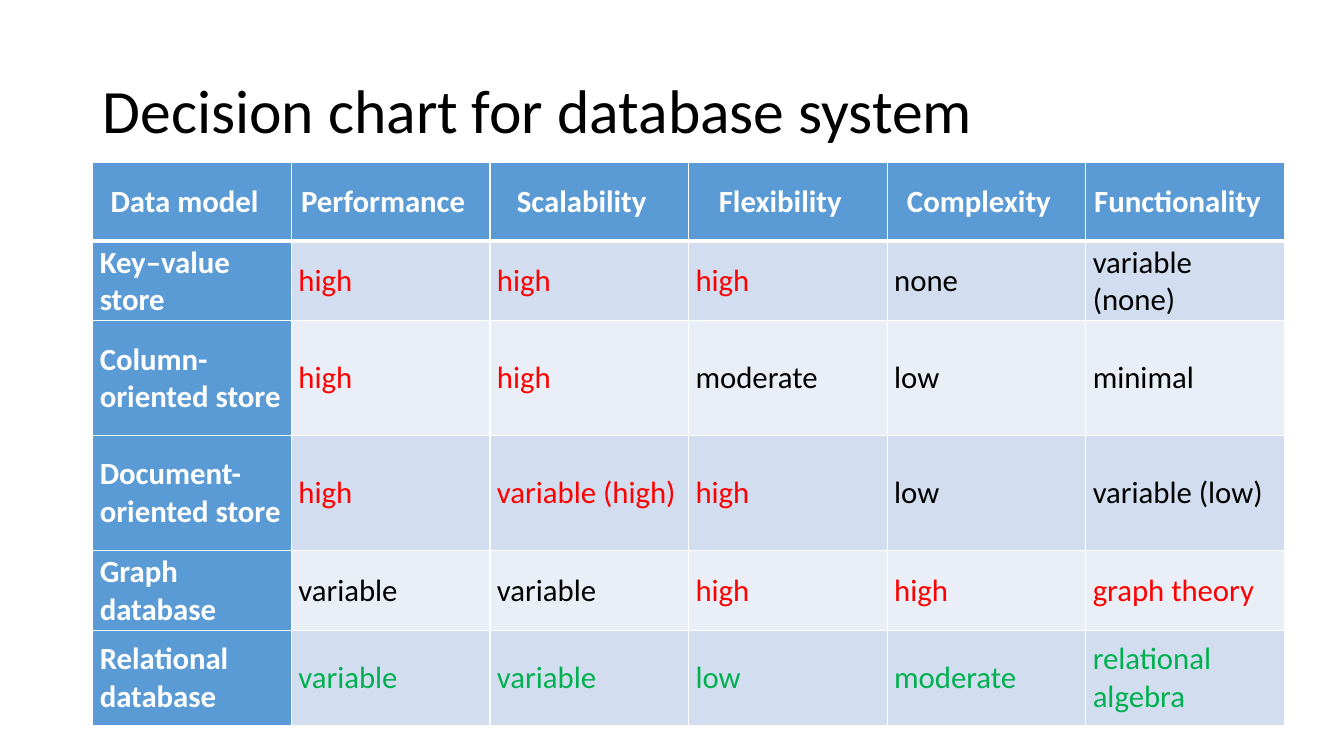
from dataclasses import dataclass

from lxml import etree
from pptx import Presentation
from pptx.dml.color import RGBColor
from pptx.enum.text import MSO_ANCHOR, PP_ALIGN
from pptx.oxml.ns import qn
from pptx.slide import Slide
from pptx.table import _Cell
from pptx.text.text import _Paragraph
from pptx.util import Inches, Pt

MIDDLE = MSO_ANCHOR.MIDDLE
LEFT = PP_ALIGN.LEFT
CENTER = PP_ALIGN.CENTER


@dataclass(frozen=True)
class Theme:
    font: str = "Calibri"
    title_size: int = 44
    cell_size: int = 22
    cell_spacing: int = 12
    thin_border: int = 1
    thick_border: int = 3
    black: str = "000000"
    white: str = "FFFFFF"
    red: str = "FF0000"
    green: str = "00B050"
    header_fill: str = "5B9BD5"
    odd_fill: str = "D2DEEF"
    even_fill: str = "EAEFF7"


THEME = Theme()


@dataclass(frozen=True)
class DataModel:
    name: str
    ratings: tuple[str, ...]
    height: float
    highlighted: tuple[int, ...] = ()
    highlight: str = THEME.red


HEADINGS = ("Data model", "Performance", "Scalability", "Flexibility", "Complexity", "Functionality")
HEADER_HEIGHT = 0.78
COLUMN_WIDTH = 1.97
DATA_MODELS = (
    DataModel("Key–value store", ("high", "high", "high", "none", "variable (none)"), 0.78, (0, 1, 2)),
    DataModel("Column-oriented store", ("high", "high", "moderate", "low", "minimal"), 1.14, (0, 1)),
    DataModel("Document-oriented store", ("high", "variable (high)", "high", "low", "variable (low)"), 1.14, (0, 1, 2)),
    DataModel("Graph database", ("variable", "variable", "high", "high", "graph theory"), 0.78, (2, 3, 4)),
    DataModel(
        "Relational database",
        ("variable", "variable", "low", "moderate", "relational algebra"),
        0.94,
        (0, 1, 2, 3, 4),
        THEME.green,
    ),
)


def add_run(paragraph: _Paragraph, text: str, size: int, color: str, bold: bool = False) -> None:
    run = paragraph.add_run()
    run.text = text
    run.font.name = THEME.font
    run.font.size = Pt(size)
    run.font.bold = bold
    run.font.color.rgb = RGBColor.from_string(color)


def set_borders(cell: _Cell, top: int, bottom: int) -> None:
    widths = {"a:lnL": THEME.thin_border, "a:lnR": THEME.thin_border, "a:lnT": top, "a:lnB": bottom}
    properties = cell._tc.get_or_add_tcPr()
    for position, (tag, width) in enumerate(widths.items()):
        line = etree.Element(qn(tag), w=str(Pt(width)))
        fill = etree.SubElement(line, qn("a:solidFill"))
        etree.SubElement(fill, qn("a:srgbClr"), val=THEME.white)
        properties.insert(position, line)


def fill_cell(cell: _Cell, text: str, fill: str, color: str, bold: bool, heading: bool = False) -> None:
    cell.fill.solid()
    cell.fill.fore_color.rgb = RGBColor.from_string(fill)
    cell.vertical_anchor = MIDDLE
    cell.margin_left = Inches(0.07)
    cell.margin_right = Inches(0.22 if heading else 0.07)
    cell.margin_top = cell.margin_bottom = Inches(0.03)
    paragraph = cell.text_frame.paragraphs[0]
    paragraph.alignment = CENTER if heading else LEFT
    paragraph.space_before = paragraph.space_after = Pt(THEME.cell_spacing)
    add_run(paragraph, text, THEME.cell_size, color, bold)


def add_title(slide: Slide, text: str) -> None:
    title = slide.shapes.add_textbox(Inches(0.92), Inches(0.4), Inches(11.5), Inches(1.45))
    title.text_frame.word_wrap = True
    title.text_frame.vertical_anchor = MIDDLE
    paragraph = title.text_frame.paragraphs[0]
    paragraph.line_spacing = 0.9
    add_run(paragraph, text, THEME.title_size, THEME.black)


def add_decision_table(slide: Slide) -> None:
    heights = [HEADER_HEIGHT, *(model.height for model in DATA_MODELS)]
    table = slide.shapes.add_table(
        len(heights),
        len(HEADINGS),
        Inches(0.92),
        Inches(1.61),
        Inches(COLUMN_WIDTH * len(HEADINGS)),
        Inches(sum(heights)),
    ).table
    table.first_col = True
    for column in table.columns:
        column.width = Inches(COLUMN_WIDTH)
    for row, height in zip(table.rows, heights):
        row.height = Inches(height)

    for index, heading in enumerate(HEADINGS):
        cell = table.cell(0, index)
        fill_cell(cell, heading, THEME.header_fill, THEME.white, True, heading=True)
        set_borders(cell, THEME.thin_border, THEME.thick_border)

    for row_index, model in enumerate(DATA_MODELS, start=1):
        fill_cell(table.cell(row_index, 0), model.name, THEME.header_fill, THEME.white, True)
        band = THEME.odd_fill if row_index % 2 else THEME.even_fill
        for index, rating in enumerate(model.ratings):
            color = model.highlight if index in model.highlighted else THEME.black
            fill_cell(table.cell(row_index, index + 1), rating, band, color, False)
        top = THEME.thick_border if row_index == 1 else THEME.thin_border
        for cell in table.rows[row_index].cells:
            set_borders(cell, top, THEME.thin_border)


def main() -> None:
    presentation = Presentation()
    presentation.slide_width = Inches(13.33)
    presentation.slide_height = Inches(7.5)
    slide = presentation.slides.add_slide(presentation.slide_layouts[6])
    add_title(slide, "Decision chart for database system")
    add_decision_table(slide)
    presentation.save("out.pptx")


if __name__ == "__main__":
    main()
